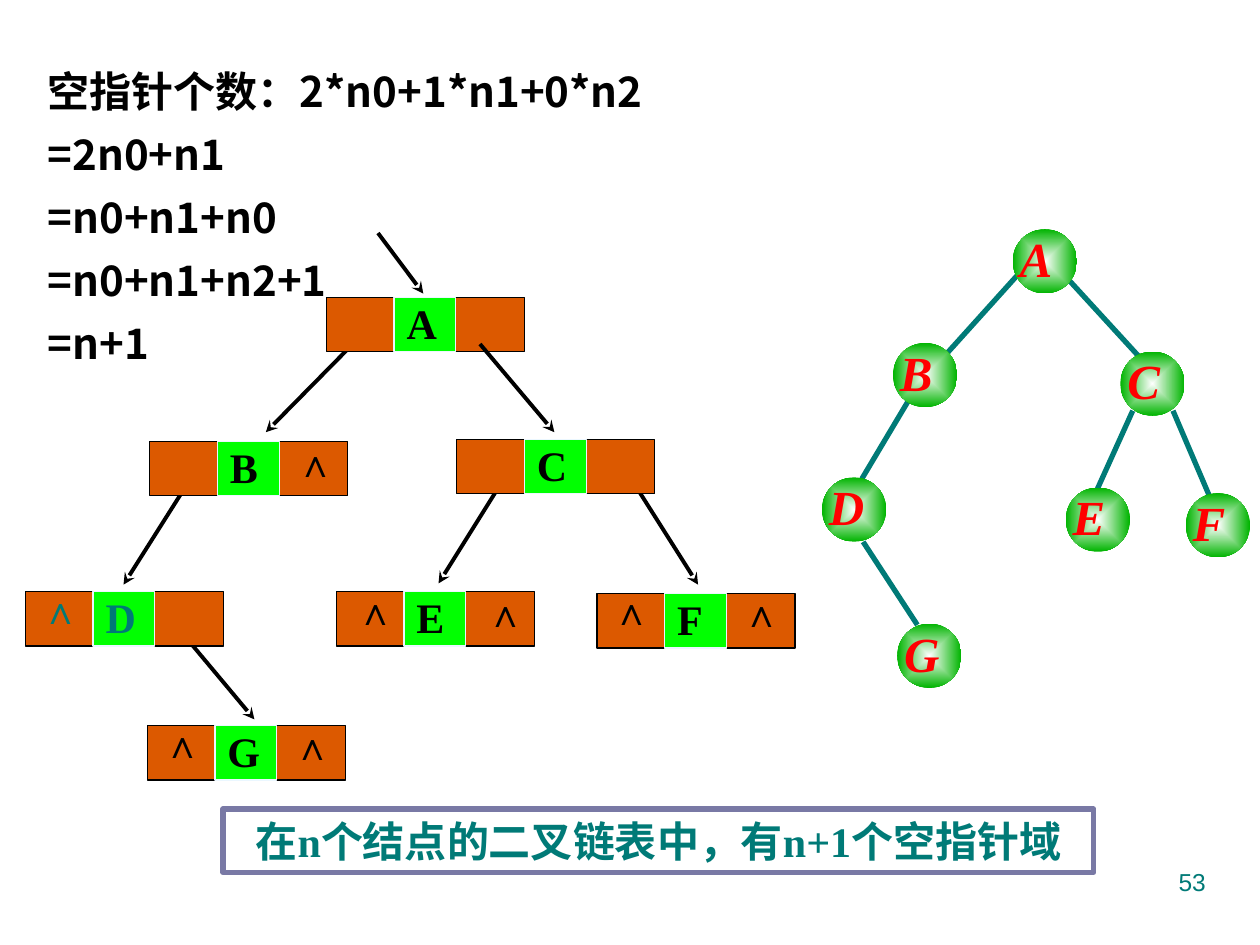
from lxml import etree
from pptx import Presentation
from pptx.dml.color import RGBColor
from pptx.enum.shapes import MSO_CONNECTOR as CONNECTOR, MSO_SHAPE as SHAPE
from pptx.enum.text import MSO_ANCHOR as ANCHOR, PP_ALIGN as ALIGN
from pptx.oxml import parse_xml
from pptx.oxml.ns import nsdecls, qn
from pptx.util import Pt

BLACK = RGBColor(0x00, 0x00, 0x00)
TEAL = RGBColor(0x00, 0x7A, 0x77)
RED = RGBColor(0xFF, 0x00, 0x00)
ORANGE = RGBColor(0xDC, 0x59, 0x00)
LIME = RGBColor(0x01, 0xFF, 0x01)
PALE = RGBColor(0xEB, 0xF7, 0xFF)
VIOLET = RGBColor(0x79, 0x79, 0xA5)
SERIF, HEAVY, SANS = "Times New Roman", "Noto Sans CJK SC", "Arial"

GLOSS = f"""<a:gradFill {nsdecls('a')} rotWithShape="1"><a:gsLst>
<a:gs pos="0"><a:srgbClr val="FFFFFF"/></a:gs>
<a:gs pos="100000"><a:srgbClr val="00B400"/></a:gs></a:gsLst>
<a:path path="rect"><a:fillToRect l="50000" t="50000" r="50000" b="50000"/></a:path>
</a:gradFill>"""


def write(shape, text, size, font=SERIF, asian=None, color=BLACK, bold=True,
          italic=False, align=ALIGN.LEFT, anchor=ANCHOR.TOP, spacing=1.0,
          insets=(7.2, 3.6, 7.2, 3.6), wrap=True):
    """Fill a shape with one paragraph per line; insets run left, top, right, bottom."""
    frame = shape.text_frame
    frame.word_wrap = wrap
    frame.vertical_anchor = anchor
    (frame.margin_left, frame.margin_top,
     frame.margin_right, frame.margin_bottom) = map(Pt, insets)
    frame.text = text
    for paragraph in frame.paragraphs:
        paragraph.alignment = align
        paragraph.line_spacing = spacing
        for run in paragraph.runs:
            style = run.font
            style.size, style.name = Pt(size), font
            style.bold, style.italic = bold, italic
            style.color.rgb = color
            etree.SubElement(style._element, qn("a:ea")).set("typeface", asian or font)


def connect(start, end, color, width, arrow=False):
    link = slide.shapes.add_connector(CONNECTOR.STRAIGHT, *map(Pt, (*start, *end)))
    link.line.color.rgb = color
    link.line.width = Pt(width)
    if arrow:
        etree.SubElement(link.line._get_or_add_ln(), qn("a:tailEnd")).set("type", "stealth")
    etree.SubElement(link._element.spPr, qn("a:effectLst"))


prs = Presentation()
prs.slide_width, prs.slide_height = Pt(720), Pt(540)
slide = prs.slides.add_slide(prs.slide_layouts[6])

# Conclusion, derivation and page number
conclusion = slide.shapes.add_shape(SHAPE.RECTANGLE, Pt(127.5), Pt(462.3), Pt(497.5), Pt(36.2))
conclusion.shadow.inherit = False
conclusion.fill.background()
conclusion.line.color.rgb = VIOLET
conclusion.line.width = Pt(3)
write(conclusion, "在n个结点的二叉链表中，有n+1个空指针域", 24, asian=HEAVY, color=TEAL,
      align=ALIGN.CENTER, anchor=ANCHOR.MIDDLE, wrap=False)

derivation = slide.shapes.add_textbox(Pt(20.2), Pt(26.6), Pt(425.5), Pt(187))
write(derivation, "空指针个数：2*n0+1*n1+0*n2\n=2n0+n1\n=n0+n1+n0\n=n0+n1+n2+1\n=n+1",
      24, font=HEAVY, spacing=1.25)

page_number = slide.shapes.add_textbox(Pt(516.2), Pt(491.8), Pt(180), Pt(37.4))
write(page_number, "53", 14, font=SANS, color=TEAL, bold=False, align=ALIGN.RIGHT)

# Binary tree on the right
tree_edges = [
    ((581, 157.7), (541.4, 201.6)), ((610.6, 159.8), (650.9, 203.8)),
    ((519.1, 229), (492.5, 273.6)), ((493.2, 309.6), (524.2, 357.1)),
    ((647.3, 234.7), (627.1, 279.4)), ((670.3, 234.7), (691.2, 283.7)),
]
for start, end in tree_edges:
    connect(start, end, TEAL, 3)

tree_nodes = {
    "A": (578.7, 131), "B": (510.3, 196), "C": (640.2, 200.9), "D": (469.7, 272.8),
    "E": (609, 278.6), "F": (677.6, 281.8), "G": (512.7, 356.4),
}
for letter, (x, y) in tree_nodes.items():
    ball = slide.shapes.add_shape(SHAPE.OVAL, Pt(x), Pt(y), Pt(36.7), Pt(36.7))
    ball.shadow.inherit = False
    ball.line.fill.background()
    ball._element.spPr.insert(2, parse_xml(GLOSS))
    label = slide.shapes.add_textbox(Pt(x + 4), Pt(y - 3.2), Pt(31), Pt(48.2))
    write(label, letter, 28, color=RED, italic=True, insets=(0, 2.9, 0, 0))

# Linked records on the left: letter, corner, incoming pointer.
# Children come first, so that each parent covers the tails of its pointers.
records = [
    ("G", (84.2, 414.7), (105.1, 362.9), (145.4, 411.1)),
    ("F", (341.1, 339.3), (362.9, 277.2), (398.9, 334.1)),
    ("E", (192.1, 338.2), (286.6, 275.8), (250.6, 333.4)),
    ("D", (14.5, 338.2), (106.6, 277.2), (70.6, 334.1)),
    ("B", (85.6, 252.3), (201.6, 196.6), (151.9, 247)),
    ("A", (186.5, 170), (216, 133.2), (241.9, 167.8)),
    ("C", (261, 251.2), (274.3, 196.6), (316.8, 247)),
]
for letter, (x, y), tail, tip in records:
    for left, width, fill, outline in ((x, 113.2, ORANGE, BLACK),
                                       (x + 38.7, 35.3, LIME, PALE)):
        cell = slide.shapes.add_shape(SHAPE.RECTANGLE, Pt(left), Pt(y), Pt(width), Pt(31))
        cell.shadow.inherit = False
        cell.fill.solid()
        cell.fill.fore_color.rgb = fill
        cell.line.color.rgb = outline
        cell.line.width = Pt(0.75)
    write(cell, letter, 24, color=TEAL if letter == "D" else BLACK,
          align=ALIGN.JUSTIFY, insets=(7.2, 0, 1.4, 0.7))
    connect(tail, tip, BLACK, 2.25, arrow=True)

# Null pointers
null_marks = [
    (164.9, 252.7, BLACK), (19.4, 337, TEAL), (89.3, 413.6, BLACK), (163.6, 414.6, BLACK),
    (199.6, 337.8, BLACK), (273.8, 338.9, BLACK), (345.9, 337.8, BLACK), (420.2, 338.9, BLACK),
]
for x, y, color in null_marks:
    null_mark = slide.shapes.add_textbox(Pt(x), Pt(y), Pt(33.1), Pt(28.8))
    write(null_mark, "∧", 22.2, color=color, spacing=0.9, insets=(4.3, 0.7, 1.4, 0.7))

prs.save("out.pptx")
